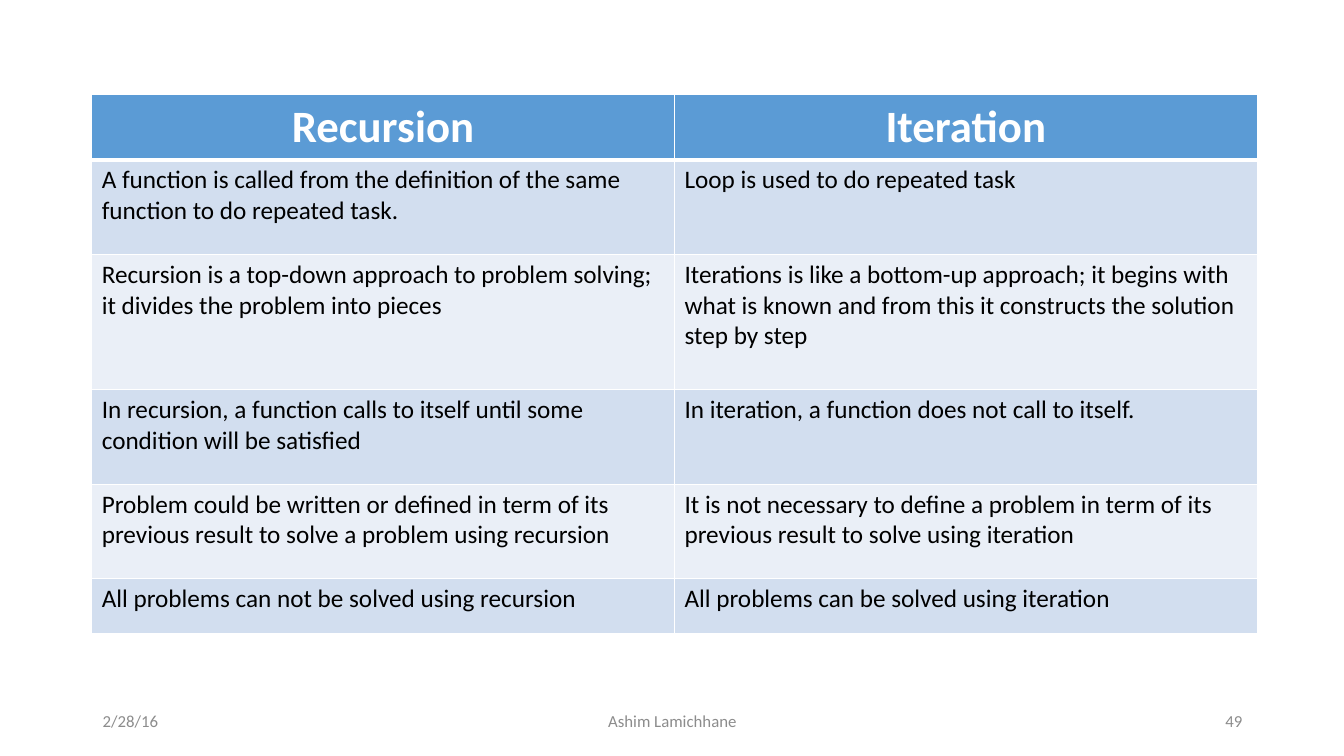
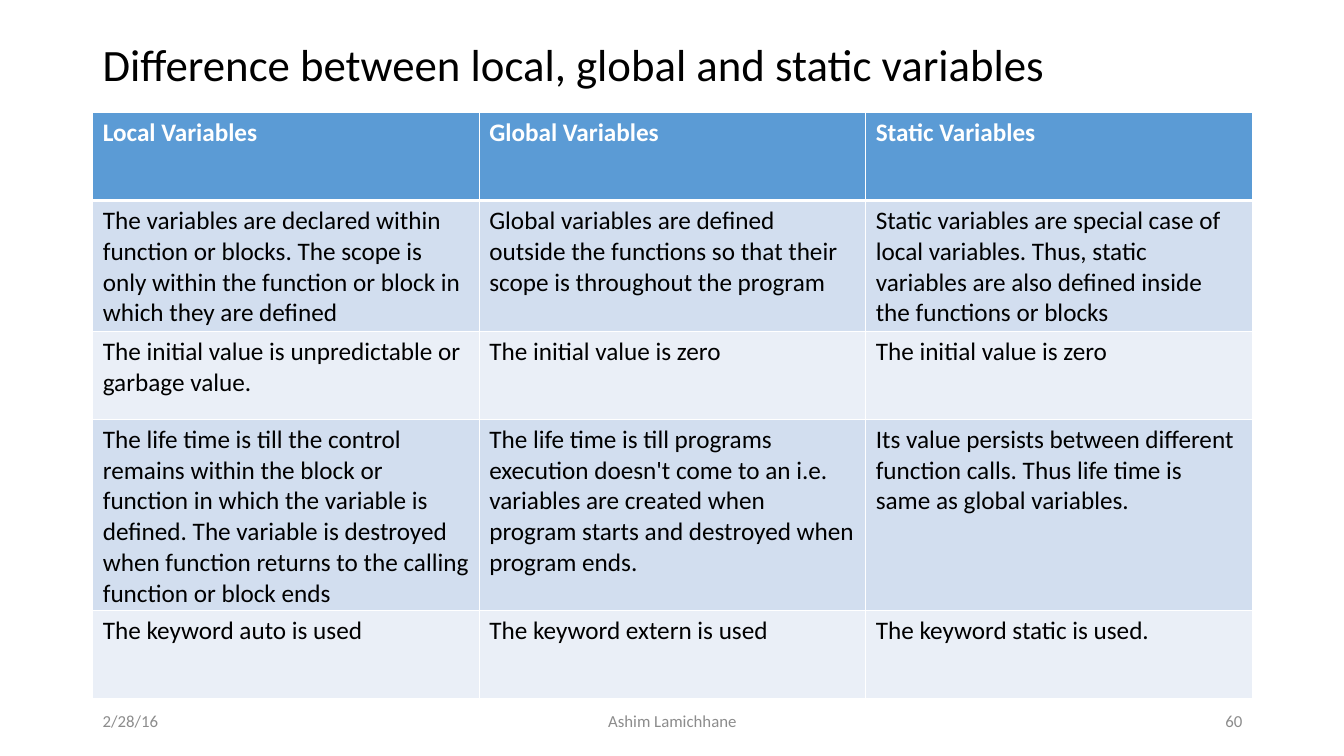
import pptx
import pptx.util
import pptx.dml.color
import pptx.enum.text
import pptx.oxml
import pptx.oxml.ns

Inches, Pt = pptx.util.Inches, pptx.util.Pt
RGBColor = pptx.dml.color.RGBColor
ALIGN = pptx.enum.text.PP_ALIGN

# Shared look
FONT = "Calibri"
WHITE = RGBColor(0xFF, 0xFF, 0xFF)
BLACK = RGBColor(0x00, 0x00, 0x00)
GREY = RGBColor(0x8C, 0x8C, 0x8C)
HEADER_BLUE = RGBColor(0x5B, 0x9B, 0xD5)
BANDS = [RGBColor(0xEA, 0xEF, 0xF7), RGBColor(0xD2, 0xDE, 0xEF)]
DATE, AUTHOR = "2/28/16", "Ashim Lamichhane"

# Slide content
slides = [
    {
        "title": None,
        "number": "49",
        "box": (0.91, 0.94, 11.56),
        "row_heights": [0.54, 0.94, 1.34, 0.94, 0.94, 0.54],
        "header_size": 32,
        "header_align": ALIGN.CENTER,
        "rows": [
            ["Recursion", "Iteration"],
            ["A function is called from the definition of the same function to do repeated task.",
             "Loop is used to do repeated task"],
            ["Recursion is a top-down approach to problem solving; it divides the problem into pieces",
             "Iterations is like a bottom-up approach; it begins with what is known and from this "
             "it constructs the solution step by step"],
            ["In recursion, a function calls to itself until some condition will be satisfied",
             "In iteration, a function does not call to itself."],
            ["Problem could be written or defined in term of its previous result to solve a problem "
             "using recursion",
             "It is not necessary to define a problem in term of its previous result to solve using "
             "iteration"],
            ["All problems can not be solved using recursion",
             "All problems can be solved using iteration"],
        ],
    },
    {
        "title": "Difference between local, global and static variables",
        "number": "60",
        "box": (0.92, 1.12, 11.5),
        "row_heights": [0.87, 1.24, 0.87, 1.82, 0.87],
        "header_size": 18,
        "header_align": ALIGN.LEFT,
        "rows": [
            ["Local Variables", "Global Variables", "Static Variables"],
            ["The variables are declared within function or blocks. The scope is only within the "
             "function or block in which they are defined",
             "Global variables are defined outside the functions so that their scope is throughout "
             "the program",
             "Static variables are special case of local variables. Thus, static variables are also "
             "defined inside the functions or blocks"],
            ["The initial value is unpredictable or garbage value.",
             "The initial value is zero",
             "The initial value is zero"],
            ["The life time is till the control remains within the block or function in which the "
             "variable is defined. The variable is destroyed when function returns to the calling "
             "function or block ends",
             "The life time is till programs execution doesn't come to an i.e. variables are created "
             "when program starts and destroyed when program ends.",
             "Its value persists between different function calls. Thus life time is same as global "
             "variables."],
            ["The keyword auto is used",
             "The keyword extern is used",
             "The keyword static is used."],
        ],
    },
]


def write(frame, text, size, color, align=ALIGN.LEFT, bold=False):
    frame.text = text
    frame.word_wrap = True
    paragraph = frame.paragraphs[0]
    paragraph.alignment = align
    font = paragraph.runs[0].font
    font.name, font.size, font.bold = FONT, Pt(size), bold
    font.color.rgb = color
    return paragraph


def add_label(slide, box, *style):
    label = slide.shapes.add_textbox(*[Inches(v) for v in box])
    label.text_frame.vertical_anchor = pptx.enum.text.MSO_ANCHOR.MIDDLE
    return write(label.text_frame, *style)


deck = pptx.Presentation()
deck.slide_width, deck.slide_height = Inches(13.33), Inches(7.5)

for content in slides:
    slide = deck.slides.add_slide(deck.slide_layouts[6])

    # Title
    if content["title"]:
        title = add_label(slide, (0.92, 0.27, 11.5, 0.78), content["title"], 32, BLACK)
        title.line_spacing = 0.9

    # Comparison table
    rows, heights = content["rows"], content["row_heights"]
    left, top, width = content["box"]
    table = slide.shapes.add_table(len(rows), len(rows[0]), Inches(left), Inches(top),
                                   Inches(width), Inches(sum(heights))).table
    for r, texts in enumerate(rows):
        table.rows[r].height = Inches(heights[r])
        for c, text in enumerate(texts):
            cell = table.cell(r, c)
            cell.fill.solid()
            if r == 0:
                cell.fill.fore_color.rgb = HEADER_BLUE
                write(cell.text_frame, text, content["header_size"], WHITE,
                      content["header_align"], True)
            else:
                cell.fill.fore_color.rgb = BANDS[r % 2]
                write(cell.text_frame, text, 18, BLACK)

            # White borders, thicker between header and body
            edges = {"L": 1, "R": 1, "T": 3 if r == 1 else 1, "B": 3 if r == 0 else 1}
            for position, (side, points) in enumerate(edges.items()):
                border = pptx.oxml.parse_xml(
                    f'<a:ln{side} {pptx.oxml.ns.nsdecls("a")} w="{Pt(points)}">'
                    f'<a:solidFill><a:srgbClr val="{WHITE}"/></a:solidFill></a:ln{side}>')
                cell._tc.get_or_add_tcPr().insert(position, border)

    # Footer
    for text, x, w, align in [(DATE, 0.92, 3, ALIGN.LEFT),
                              (AUTHOR, 4.42, 4.5, ALIGN.CENTER),
                              (content["number"], 9.42, 3, ALIGN.RIGHT)]:
        add_label(slide, (x, 6.95, w, 0.4), text, 12, GREY, align)

deck.save("out.pptx")
